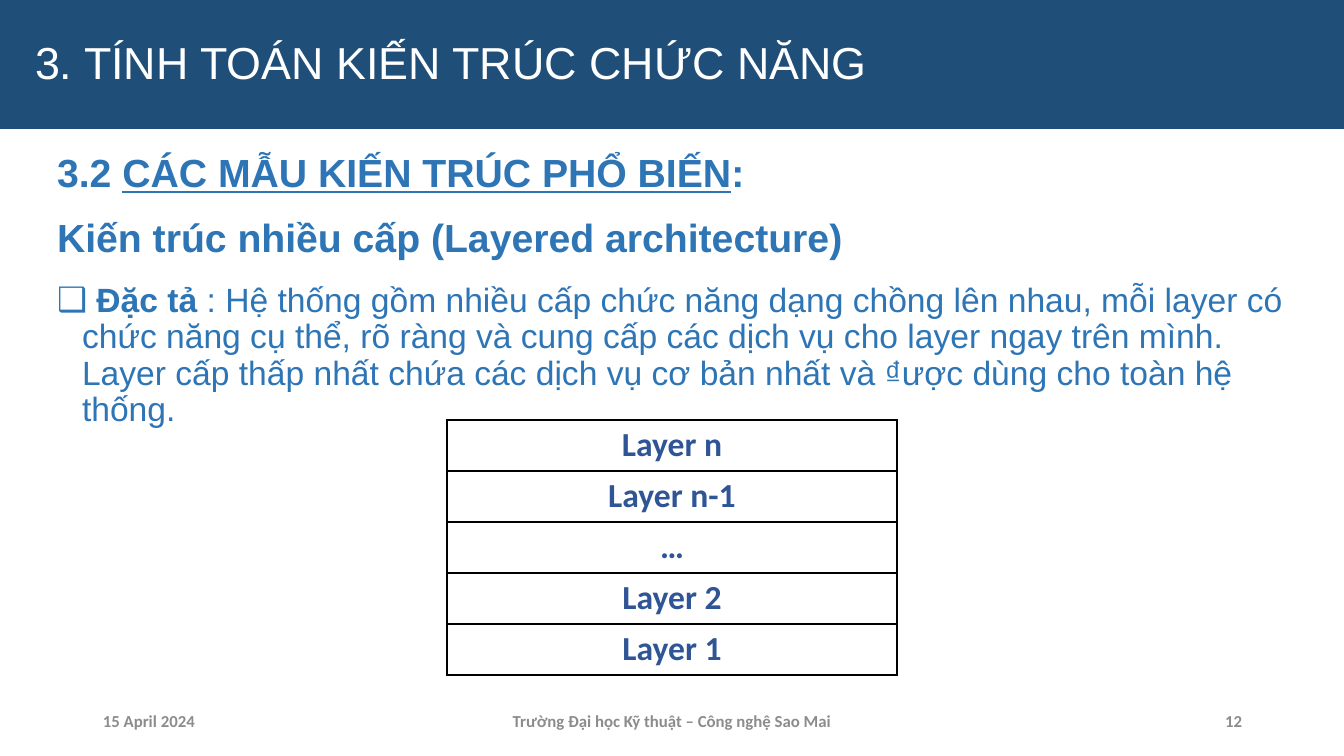
from dataclasses import dataclass

from lxml import etree
from pptx import Presentation
from pptx.dml.color import RGBColor
from pptx.enum.text import MSO_ANCHOR, MSO_AUTO_SIZE, PP_ALIGN
from pptx.oxml.ns import qn
from pptx.util import Pt

LEFT, CENTER, RIGHT = PP_ALIGN.LEFT, PP_ALIGN.CENTER, PP_ALIGN.RIGHT
MIDDLE, TOP = MSO_ANCHOR.MIDDLE, MSO_ANCHOR.TOP
NO_AUTOFIT = MSO_AUTO_SIZE.NONE

TITLE = "3. TÍNH TOÁN KIẾN TRÚC CHỨC NĂNG"
# Each span: text, bold, underlined
HEADINGS = [
    [("3.2 ", True, False), ("CÁC MẪU KIẾN TRÚC PHỔ BIẾN", True, True), (":", True, False)],
    [("Kiến trúc nhiều cấp (Layered architecture)", True, False)],
]
DESCRIPTION = [
    (" Đặc tả ", True, False),
    (": Hệ thống gồm nhiều cấp chức năng dạng chồng lên nhau, mỗi layer có chức năng "
     "cụ thể, rõ ràng và cung cấp các dịch vụ cho layer ngay trên mình. Layer cấp thấp "
     "nhất chứa các dịch vụ cơ bản nhất và ₫ược dùng cho toàn hệ thống.", False, False),
]
BULLET = "❑"
LAYERS = ["Layer n", "Layer n-1", "…", "Layer 2", "Layer 1"]
# Each footer: text, left, width, alignment
FOOTERS = [
    ("15 April 2024", 93, 302, LEFT),
    ("Trường Đại học Kỹ thuật – Công nghệ Sao Mai", 445, 454, CENTER),
    ("12", 950, 302, RIGHT),
]

PX = 914400 / 100.8
PAGE_WIDTH, PAGE_HEIGHT = 1344, 756
BANNER_HEIGHT = 129
INDENT = 25
TABLE_LEFT, TABLE_TOP, TABLE_WIDTH, ROW_HEIGHT = 447, 420, 450, 51
FOOTER_TOP, FOOTER_HEIGHT = 701, 40


@dataclass(frozen=True)
class Theme:
    banner: str = "1F4E79"
    title: str = "FFFFFF"
    body: str = "2E75B6"
    layer: str = "2F5597"
    footer: str = "8C8C8C"
    border: str = "000000"
    heading_font: str = "Arial"
    label_font: str = "Calibri"
    title_size: int = 32
    heading_size: int = 28
    text_size: int = 24
    footer_size: int = 12


THEME = Theme()


def px(length):
    return round(length * PX)


def place(shape, left, top, width, height):
    shape.left, shape.top = px(left), px(top)
    shape.width, shape.height = px(width), px(height)


def style_font(font, name, size, color, bold=None):
    font.name, font.size, font.bold = name, Pt(size), bold
    font.color.rgb = RGBColor.from_string(color)


def set_indent(para, margin, first_line, bullet=None):
    """Set the hanging indent and the bullet; call before styling the font."""
    properties = para._p.get_or_add_pPr()
    properties.set("marL", str(px(margin)))
    properties.set("indent", str(px(first_line)))
    if bullet:
        etree.SubElement(properties, qn("a:buChar"), char=bullet)
    else:
        etree.SubElement(properties, qn("a:buNone"))


def add_title(page):
    title = page.shapes.title
    place(title, 0, 0, PAGE_WIDTH, BANNER_HEIGHT)
    title.fill.solid()
    title.fill.fore_color.rgb = RGBColor.from_string(THEME.banner)
    frame = title.text_frame
    frame.text = TITLE
    frame.auto_size, frame.vertical_anchor = NO_AUTOFIT, MIDDLE
    para = frame.paragraphs[0]
    para.alignment, para.line_spacing = LEFT, 0.9
    set_indent(para, INDENT, 0)
    style_font(para.font, THEME.heading_font, THEME.title_size, THEME.title)


def add_body(page):
    body = page.placeholders[1]
    place(body, 47, 149, 1253, 541)
    frame = body.text_frame
    frame.auto_size, frame.vertical_anchor = NO_AUTOFIT, TOP
    for index, spans in enumerate([*HEADINGS, DESCRIPTION]):
        para = frame.add_paragraph() if index else frame.paragraphs[0]
        para.line_spacing = 0.9
        para.space_before, para.space_after = Pt(10), Pt(6)
        if spans is DESCRIPTION:
            set_indent(para, INDENT, -INDENT, BULLET)
            size = THEME.text_size
        else:
            set_indent(para, 0, 0)
            size = THEME.heading_size
        style_font(para.font, THEME.heading_font, size, THEME.body)
        for text, bold, underlined in spans:
            span = para.add_run()
            span.text = text
            span.font.bold, span.font.underline = bold, underlined


def add_borders(cell):
    properties = cell._tc.get_or_add_tcPr()
    for side in ("lnL", "lnR", "lnT", "lnB"):
        line = etree.SubElement(properties, qn(f"a:{side}"), w=str(Pt(1)))
        fill = etree.SubElement(line, qn("a:solidFill"))
        etree.SubElement(fill, qn("a:srgbClr"), val=THEME.border)


def add_layers(page):
    table = page.shapes.add_table(
        len(LAYERS), 1, px(TABLE_LEFT), px(TABLE_TOP),
        px(TABLE_WIDTH), px(ROW_HEIGHT * len(LAYERS))).table
    table.first_row = table.horz_banding = False
    for row, name in enumerate(LAYERS):
        cell = table.cell(row, 0)
        cell.text = name
        cell.vertical_anchor = MIDDLE
        add_borders(cell)
        cell.fill.background()
        para = cell.text_frame.paragraphs[0]
        para.alignment = CENTER
        style_font(para.font, THEME.label_font, THEME.text_size, THEME.layer, True)


def add_footers(page):
    for text, left, width, alignment in FOOTERS:
        box = page.shapes.add_textbox(
            px(left), px(FOOTER_TOP), px(width), px(FOOTER_HEIGHT))
        frame = box.text_frame
        frame.word_wrap, frame.vertical_anchor = True, MIDDLE
        frame.text = text
        para = frame.paragraphs[0]
        para.alignment = alignment
        style_font(para.font, THEME.label_font, THEME.footer_size, THEME.footer, True)


def main():
    deck = Presentation()
    deck.slide_width, deck.slide_height = px(PAGE_WIDTH), px(PAGE_HEIGHT)
    page = deck.slides.add_slide(deck.slide_layouts[1])
    add_title(page)
    add_body(page)
    add_footers(page)
    add_layers(page)
    deck.save("out.pptx")


if __name__ == "__main__":
    main()
